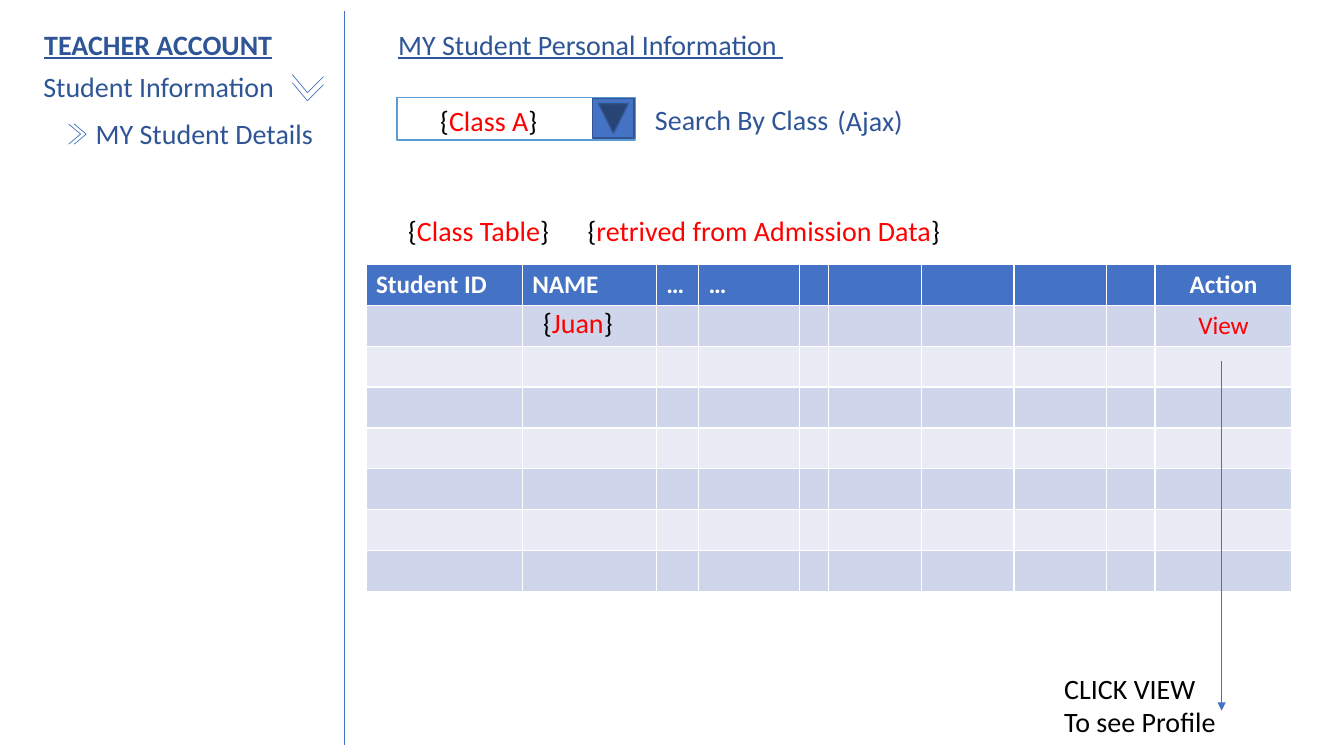
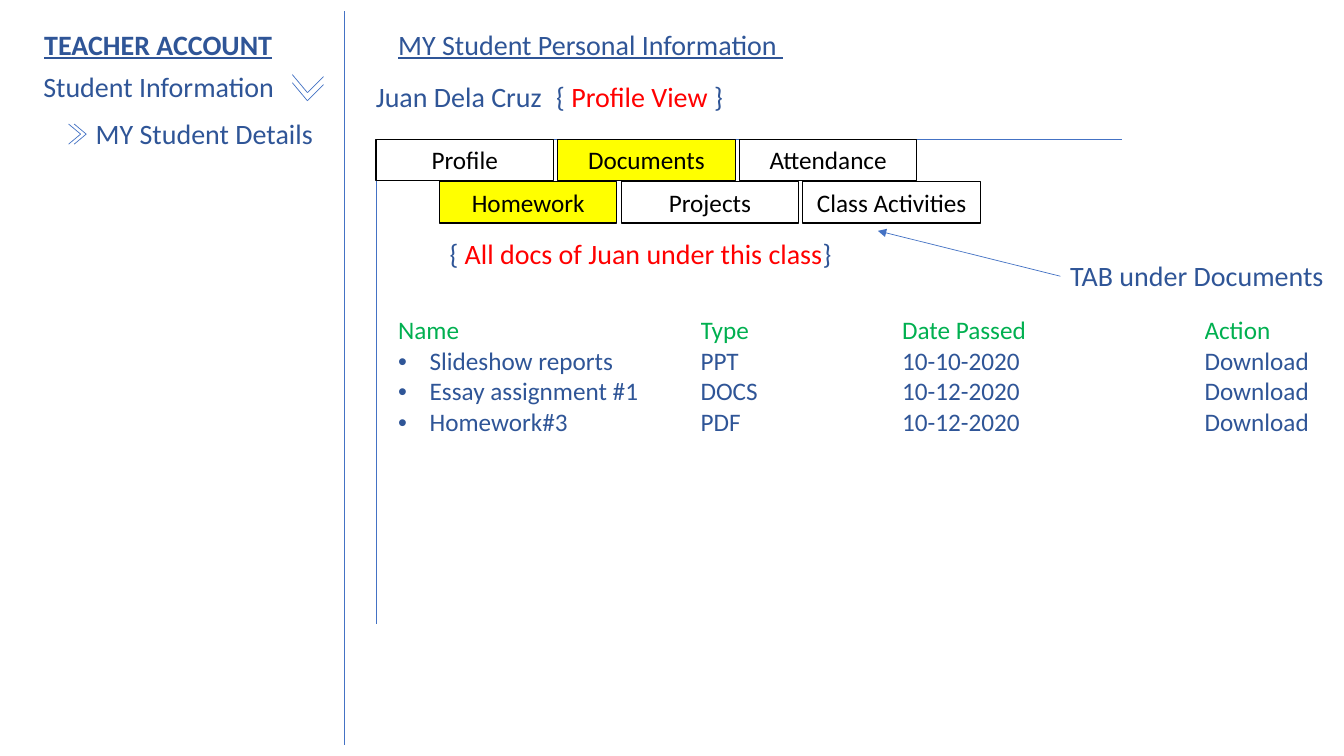
"""Build two wireframe slides of a teacher account's student pages."""
from lxml.etree import SubElement
from pptx import Presentation
from pptx.dml.color import RGBColor
from pptx.enum.shapes import MSO_CONNECTOR, MSO_SHAPE
from pptx.enum.text import MSO_ANCHOR, MSO_AUTO_SIZE, PP_ALIGN
from pptx.oxml.ns import qn
from pptx.util import Pt

COLORS = {
    "navy": "2F5597", "blue": "4472C4", "edge": "325491", "sky": "5B9BD5",
    "red": "FF0000", "green": "00B050", "yellow": "FFFF00",
    "black": "000000", "white": "FFFFFF",
    "band_dark": "CFD5EA", "band_light": "E9EBF5",
}
FONT = "Calibri"


def rgb(name):
    return RGBColor.from_string(COLORS[name])


def braced(text, color="black", left="{", right="}"):
    return [(left, color), (text, "red"), (right, color)]


class Deck:
    def __init__(self):
        self.prs = Presentation()
        self.prs.slide_width, self.prs.slide_height = Pt(960), Pt(540)
        self.s = None

    def style(self, p, color, size=20, bold=False, underline=False):
        for r in p.runs:
            f = r.font
            f.name, f.size, f.bold, f.underline = FONT, Pt(size), bold, underline
            f.color.rgb = rgb(color)

    def page(self, title):
        self.s = self.prs.slides.add_slide(self.prs.slide_layouts[5])
        sp = self.s.shapes.title
        sp.left, sp.top, sp.width, sp.height = Pt(277.2), Pt(15.8), Pt(311.8), Pt(31.7)
        tf = sp.text_frame
        tf.text = title
        tf.word_wrap = True
        tf.auto_size = MSO_AUTO_SIZE.NONE
        tf.vertical_anchor = MSO_ANCHOR.TOP
        tf.paragraphs[0].alignment = PP_ALIGN.LEFT
        self.style(tf.paragraphs[0], "navy", underline=True)
        self.sidebar()

    def sidebar(self):
        self.text(24.5, 15.8, 193, "TEACHER ACCOUNT", bold=True, underline=True)
        self.text(23.8, 46.1, 180.7, "Student Information")
        self.text(61.2, 79.9, 180.7, "MY Student Details")
        self.line((246.2, 7.9), (246.2, 532.1))
        self.chevron((208.8, 53.3), (219.6, 66.2), (231.1, 54.7), dy=5.8)
        self.chevron((49, 88.6), (57.6, 95.8), (49, 103), dx=4)

    def text(self, x, y, w, text, color="navy", wrap=True, h=31.7, **font):
        tf = self.s.shapes.add_textbox(Pt(x), Pt(y), Pt(w), Pt(h)).text_frame
        tf.word_wrap = wrap
        tf.auto_size = MSO_AUTO_SIZE.SHAPE_TO_FIT_TEXT
        tf.text = text
        for p in tf.paragraphs:
            self.style(p, color, **font)

    def label(self, x, y, w, parts):
        tf = self.s.shapes.add_textbox(Pt(x), Pt(y), Pt(w), Pt(31.7)).text_frame
        tf.word_wrap = False
        tf.auto_size = MSO_AUTO_SIZE.SHAPE_TO_FIT_TEXT
        p = tf.paragraphs[0]
        for text, _ in parts:
            p.add_run().text = text
        self.style(p, "black")
        for r, (_, color) in zip(p.runs, parts):
            r.font.color.rgb = rgb(color)

    def line(self, start, end, arrow=False, shapes=None):
        shapes = shapes or self.s.shapes
        ln = shapes.add_connector(MSO_CONNECTOR.STRAIGHT, *map(Pt, start + end))
        ln.line.color.rgb = rgb("blue")
        ln.line.width = Pt(0.5)
        if arrow:
            SubElement(ln.line._get_or_add_ln(), qn("a:tailEnd"), type="triangle")
        SubElement(ln._element.spPr, qn("a:effectLst"))

    def chevron(self, start, tip, end, dx=0, dy=0):
        shapes = self.s.shapes.add_group_shape().shapes
        for k in (0, 1):
            a, b, c = [(x + k * dx, y + k * dy) for x, y in (start, tip, end)]
            self.line(a, b, shapes=shapes)
            self.line(c, b, shapes=shapes)

    def box(self, x, y, w, h, fill, edge, width=1, text="", kind=MSO_SHAPE.RECTANGLE):
        sp = self.s.shapes.add_shape(kind, Pt(x), Pt(y), Pt(w), Pt(h))
        sp.shadow.inherit = False
        if fill:
            sp.fill.solid()
            sp.fill.fore_color.rgb = rgb(fill)
        else:
            sp.fill.background()
        sp.line.color.rgb = rgb(edge)
        sp.line.width = Pt(width)
        if text:
            tf = sp.text_frame
            tf.text = text
            tf.vertical_anchor = MSO_ANCHOR.MIDDLE
            tf.paragraphs[0].alignment = PP_ALIGN.CENTER
            self.style(tf.paragraphs[0], "black", size=18)
        return sp

    def tabs(self, x, y, tabs):
        for i, (text, fill) in enumerate(tabs):
            self.box(x + i * 129.8, y, 126.7, 29.5, fill, "black", 0.75, text)

    def table(self, x, y, widths, row_h, rows):
        gf = self.s.shapes.add_table(len(rows), len(widths), Pt(x), Pt(y),
                                     Pt(sum(widths)), Pt(row_h * len(rows)))
        tbl = gf.table
        for col, w in zip(tbl.columns, widths):
            col.width = Pt(w)
        for row, values in zip(tbl.rows, rows):
            row.height = Pt(row_h)
            for cell, value in zip(row.cells, values):
                cell.text = value
        return tbl

    def class_table(self, x, y, widths, header, rows):
        tbl = self.table(x, y, widths, 29.2, [header] + rows)
        for i, row in enumerate(tbl.rows):
            fill = ("band_light", "band_dark")[i % 2] if i else "blue"
            for cell in row.cells:
                cell.fill.solid()
                cell.fill.fore_color.rgb = rgb(fill)
                self.style(cell.text_frame.paragraphs[0], "red" if i else "white",
                           size=18, bold=i == 0)
            cell.text_frame.paragraphs[0].alignment = PP_ALIGN.CENTER

    def file_list(self, x, y, widths, header, rows):
        tbl = self.table(x, y, widths, 21.8, [header] + rows)
        tbl.first_row = tbl.horz_banding = False
        for i, row in enumerate(tbl.rows):
            for j, cell in enumerate(row.cells):
                cell.fill.background()
                cell.margin_left = cell.margin_right = Pt(0)
                cell.margin_top = cell.margin_bottom = Pt(0)
                p = cell.text_frame.paragraphs[0]
                self.style(p, "navy" if i else "green", size=18)
                if i and j == 0:
                    self.bullet(p)

    def bullet(self, p):
        pPr = p._p.get_or_add_pPr()
        pPr.set("marL", str(Pt(22.5)))
        pPr.set("indent", str(-Pt(22.5)))
        SubElement(pPr, qn("a:buFont"), typeface="Arial")
        SubElement(pPr, qn("a:buChar"), char="•")


def class_page(d):
    d.page("MY Student Personal Information ")
    d.box(283.7, 69.8, 169.9, 30.2, "white", "sky")
    d.label(307.4, 70.6, 84.2, braced("Class A"))
    sp = d.box(424.1, 69.8, 28.1, 29.5, "blue", "edge",
               kind=MSO_SHAPE.ACTION_BUTTON_BACK_OR_PREVIOUS)
    sp.rotation = 270
    d.text(460.8, 69.8, 139.7, "Search By Class", wrap=False)
    d.text(591.1, 70.6, 61.9, "(Ajax)", wrap=False)
    d.label(284.4, 149, 115.9, braced("Class Table"))
    d.label(412.6, 149, 268.6, braced("retrived from Admission Data"))
    widths = [111.6, 95.8, 30.2, 72, 20.9, 66.2, 66.2, 66.2, 34.6, 97.9]
    header = ["Student ID", "NAME", "…", "…"] + [""] * 5 + ["Action"]
    d.class_table(261.4, 188.9, widths, header,
                  [[""] * 9 + ["View"]] + [[""] * 10] * 6)
    d.label(380.9, 214.6, 64.8, braced("Juan"))
    d.line((872.6, 257.8), (872.6, 507.6), arrow=True)
    d.text(753.1, 475.9, 124.6, "CLICK VIEW\nTo see Profile", "black", h=55.4)


def profile_page(d):
    d.page("MY Student Personal Information ")
    d.text(261.4, 53.3, 133.9, "Juan Dela Cruz", wrap=False)
    d.label(390.2, 53.3, 134.6, braced("Profile View", "navy", "{ ", " }"))
    d.line((268.6, 99.4), (268.6, 445.7))
    d.line((268.6, 99.4), (801.4, 99.4))
    d.tabs(268.6, 99.4, [("Profile", "white"), ("Documents", "yellow"),
                         ("Attendance", None)])
    d.tabs(314, 129.8, [("Homework", "yellow"), ("Projects", "white"),
                        ("Class Activities", None)])
    d.label(314, 165.6, 291.6,
            braced("All docs of Juan under this class", "navy", "{ "))
    d.line((757.4, 197.3), (627.1, 164.9), arrow=True)
    d.text(757.4, 181.4, 197.3, "TAB under Documents", wrap=False)
    d.file_list(284.4, 225.4, [216, 144, 216, 77],
                ["Name", "Type", "Date Passed", "Action"],
                [["Slideshow reports", "PPT", "10-10-2020", "Download"],
                 ["Essay assignment #1", "DOCS", "10-12-2020", "Download"],
                 ["Homework#3", "PDF", "10-12-2020", "Download"]])


def main():
    d = Deck()
    class_page(d)
    profile_page(d)
    d.prs.save("out.pptx")


if __name__ == "__main__":
    main()
